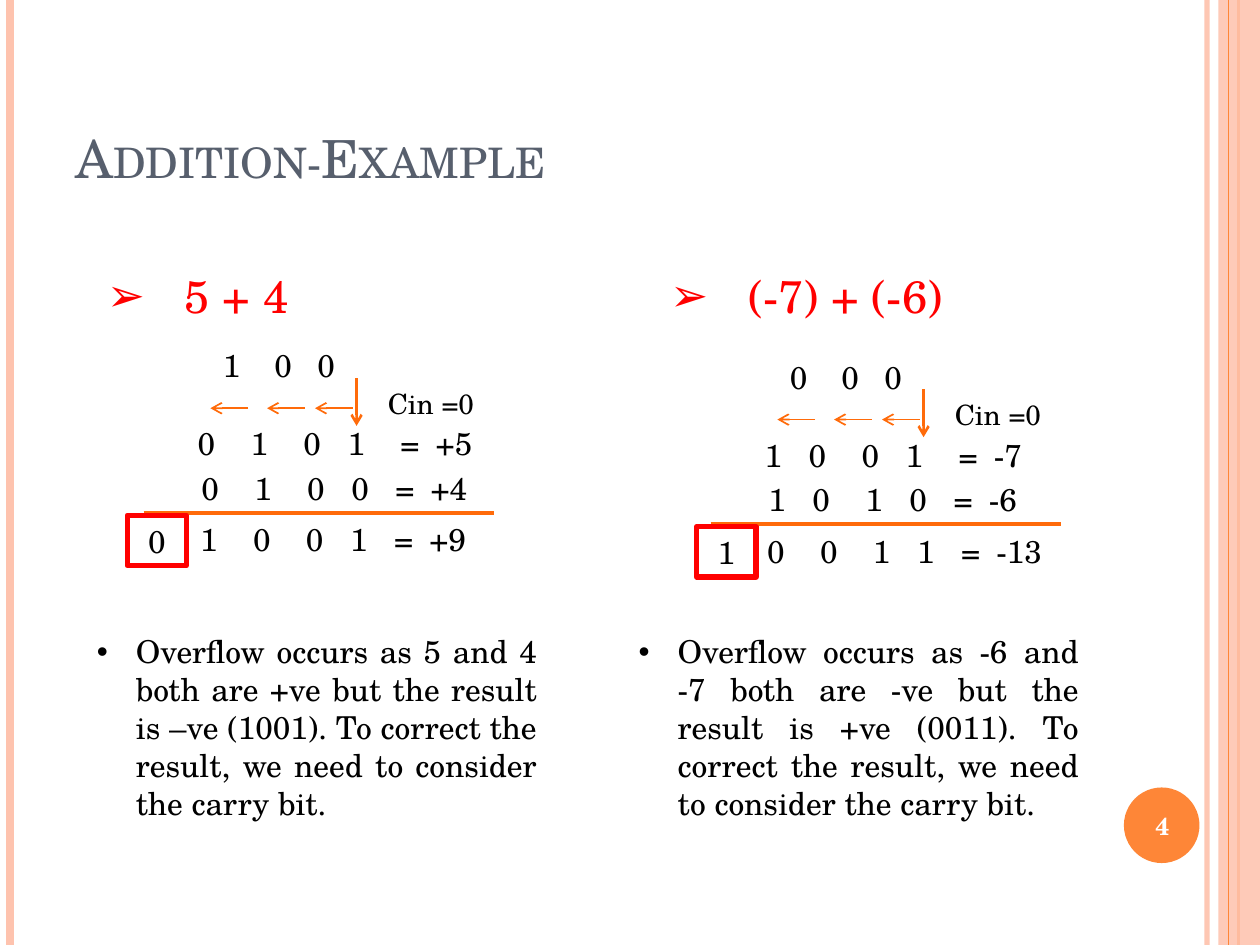
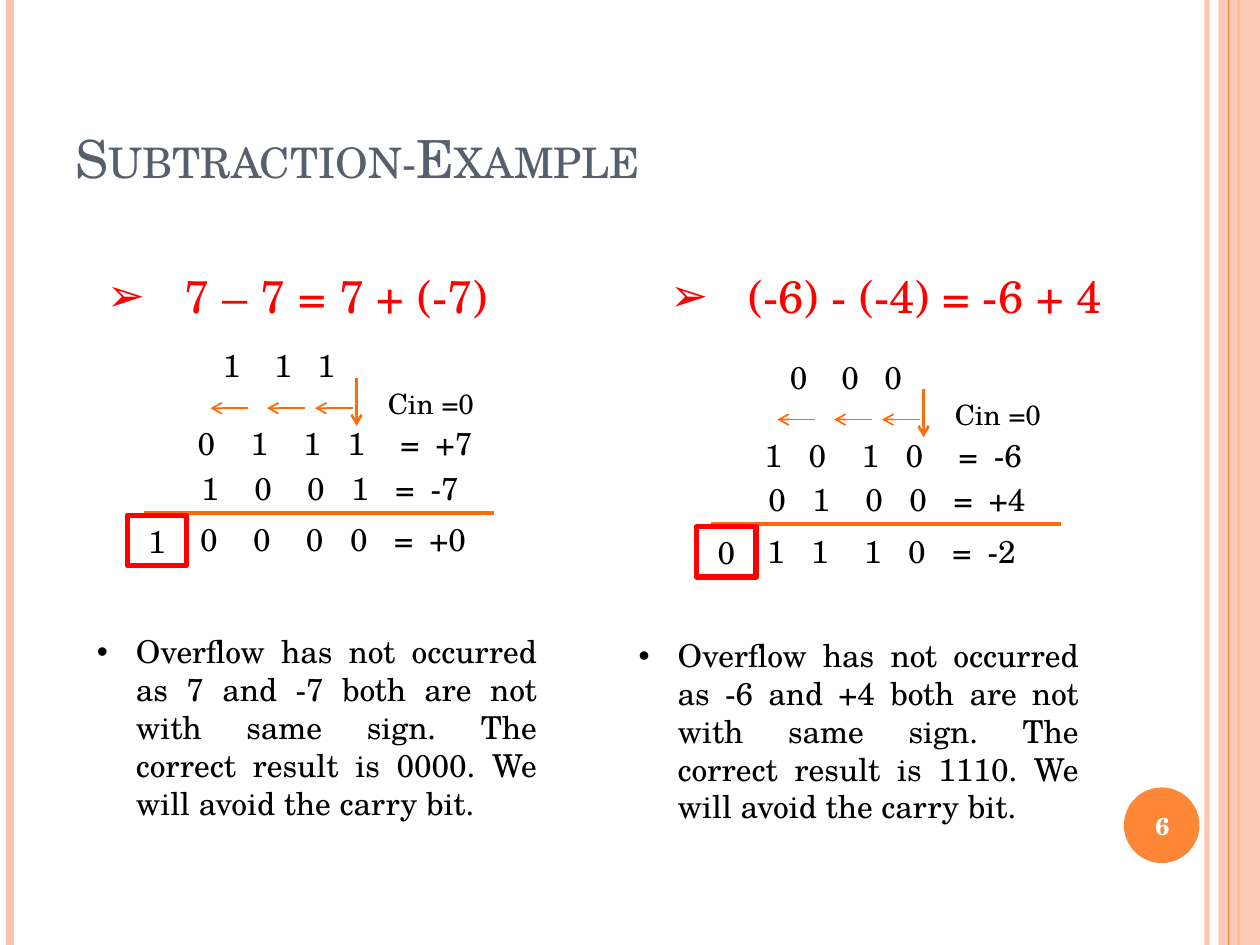
from dataclasses import dataclass
from itertools import accumulate

from lxml.etree import SubElement
from pptx import Presentation
from pptx.dml.color import RGBColor
from pptx.enum.shapes import MSO_CONNECTOR, MSO_SHAPE
from pptx.enum.text import MSO_ANCHOR, PP_ALIGN
from pptx.oxml.ns import qn
from pptx.util import Inches, Pt

# Each row of a sum: bits, decimal value, width in spaces of the first gap.
SLIDES = [
    {
        "title": "Addition-Example",
        "number": "4",
        "sums": [
            {
                "heading": "5 + 4",
                "carries": "100",
                "rows": [("0101", "+5", 4), ("0100", "+4", 4), ("1001", "+9", 4)],
                "carry_out": "0",
                "note": "Overflow occurs as 5 and 4 both are +ve but the result is "
                        "–ve (1001). To correct the result, we need to consider "
                        "the carry bit.",
                "note_top": 4.97,
            },
            {
                "heading": "(-7) + (-6)",
                "carries": "000",
                "rows": [("1001", "-7", 3), ("1010", "-6", 3), ("0011", "-13", 4)],
                "carry_out": "1",
                "note": "Overflow occurs as -6 and -7 both are -ve but the result is "
                        "+ve (0011). To correct the result, we need to consider "
                        "the carry bit.",
                "note_top": 4.97,
            },
        ],
    },
    {
        "title": "Subtraction-Example",
        "number": "6",
        "sums": [
            {
                "heading": "7 – 7 = 7 + (-7)",
                "carries": "111",
                "rows": [("0111", "+7", 4), ("1001", "-7", 4), ("0000", "+0", 4)],
                "carry_out": "1",
                "note": "Overflow has not occurred as 7 and -7 both are not with same "
                        "sign. The correct result is 0000. We will avoid the carry bit.",
                "note_top": 4.97,
            },
            {
                "heading": "(-6) - (-4) = -6 + 4",
                "carries": "000",
                "rows": [("1010", "-6", 3), ("0100", "+4", 3), ("1110", "-2", 3)],
                "carry_out": "0",
                "note": "Overflow has not occurred as -6 and +4 both are not with same "
                        "sign. The correct result is 1110. We will avoid the carry bit.",
                "note_top": 5.0,
            },
        ],
    },
]


@dataclass(frozen=True)
class Theme:
    font: str = "TeX Gyre Schola"
    ink: str = "000000"
    title: str = "575F6D"
    alert: str = "FF0000"
    accent: str = "FE8637"
    rule: str = "FF6B0A"
    pale: str = "FEC3AE"
    white: str = "FFFFFF"
    title_size: int = 30
    heading_size: int = 26
    body_size: int = 18
    label_size: int = 16
    number_size: int = 14


THEME = Theme()
WIDTH, HEIGHT = 10, 7.5

# Vertical rules of the frame: x, colour, width in points, opacity in percent.
RULES_UNDER_BAND = [
    (9.58, THEME.pale, 3, 93),
    (0.08, THEME.pale, 4.5, 100),
    (9.83, THEME.accent, 1.5, 100),
]
RULE_OVER_BAND = (9.75, THEME.accent, 0.75, 100)

# Left edge of each part in the left and the right column.
HEADING_LEFT = (0.75, 5.22)
NOTE_LEFT = (0.67, 4.97)
CARRY_OUT_LEFT = (1.01, 5.53)
SUM_SHIFT = ((0, 0), (4.5, 0.09))

ROW_PLACES = [(1.47, 3.32), (1.5, 3.67), (1.49, 4.08)]
EQUALS_GAPS = (4, 3, 3)
CARRY_LEFTS = (1.67, 2.08, 2.42)
CARRY_ARROW_STARTS = (1.97, 2.42, 2.8)
DIGIT_WIDTH, SPACE_WIDTH = 0.14, 0.07
LINE_HEIGHT = 0.4


def set_opacity(drawn, percent):
    for color in drawn.element.spPr.iter(qn("a:srgbClr")):
        SubElement(color, qn("a:alpha"), val=str(percent * 1000))


def add_line(slide, start, end, color, width, opacity=100, arrow=False):
    line = slide.shapes.add_connector(
        MSO_CONNECTOR.STRAIGHT, *(Inches(v) for v in (*start, *end)))
    line.line.color.rgb = RGBColor.from_string(color)
    line.line.width = Pt(width)
    properties = line.element.spPr
    if arrow:
        SubElement(properties.find(qn("a:ln")), qn("a:tailEnd"), type="arrow")
    SubElement(properties, qn("a:effectLst"))
    if opacity < 100:
        set_opacity(line, opacity)


def add_box(slide, preset, place, fill=None, line=None, width=1):
    box = slide.shapes.add_shape(preset, *(Inches(v) for v in place))
    box.shadow.inherit = False
    if fill:
        box.fill.solid()
        box.fill.fore_color.rgb = RGBColor.from_string(fill)
    else:
        box.fill.background()
    if line:
        box.line.color.rgb = RGBColor.from_string(line)
        box.line.width = Pt(width)
    else:
        box.line.fill.background()
    return box


def write(holder, text, size=THEME.body_size, color=THEME.ink, bold=False,
          small_caps=False, align=PP_ALIGN.LEFT, anchor=MSO_ANCHOR.TOP,
          bullet=None, indent=0, tabs=()):
    frame = holder.text_frame
    frame.word_wrap = True
    frame.vertical_anchor = anchor
    paragraph = frame.paragraphs[0]
    paragraph.alignment = align
    run = paragraph.add_run()
    run.text = text
    run.font.name = THEME.font
    run.font.size = Pt(size)
    run.font.bold = bold
    run.font.color.rgb = RGBColor.from_string(color)
    if small_caps:
        run.font._element.set("cap", "small")
    layout = paragraph._p.get_or_add_pPr()
    if bullet:
        layout.set("marL", str(Inches(indent)))
        layout.set("indent", str(-Inches(indent)))
        SubElement(layout, qn("a:buFont"), typeface="Arial")
        SubElement(layout, qn("a:buChar"), char=bullet)
    if tabs:
        stops = SubElement(layout, qn("a:tabLst"))
        for stop in tabs:
            SubElement(stops, qn("a:tab"), pos=str(Inches(stop)), algn="l")


def add_text(slide, place, text, **style):
    write(slide.shapes.add_textbox(*(Inches(v) for v in place)), text, **style)


def add_rule(slide, x, color, width, opacity):
    add_line(slide, (x, 0), (x, HEIGHT), color, width, opacity)


def add_frame(slide, title, number):
    """Draw the side bands, the title and the page number."""
    for rule in RULES_UNDER_BAND:
        add_rule(slide, *rule)
    band = add_box(slide, MSO_SHAPE.RECTANGLE, (9.67, 0, WIDTH - 9.67, HEIGHT),
                   fill=THEME.pale)
    set_opacity(band, 87)
    add_rule(slide, *RULE_OVER_BAND)
    add_box(slide, MSO_SHAPE.OVAL, (8.92, 6.25, 0.6, 0.6), fill=THEME.accent)
    add_text(slide, (0.5, 0.3, 8.17, 1.25), title, size=THEME.title_size,
             color=THEME.title, small_caps=True, anchor=MSO_ANCHOR.BOTTOM)
    add_text(slide, (8.89, 6.27, 0.67, 0.57), number, size=THEME.number_size,
             color=THEME.white, bold=True, align=PP_ALIGN.CENTER,
             anchor=MSO_ANCHOR.MIDDLE)


def add_sum(slide, column, heading, carries, rows, carry_out, note, note_top):
    dx, dy = SUM_SHIFT[column]

    def at(x, y):
        return x + dx, y + dy

    for (bits, value, first_gap), place, equals_gap in zip(
            rows, ROW_PLACES, EQUALS_GAPS):
        gaps = (first_gap, 4, 3, equals_gap, 2)
        tabs = accumulate(DIGIT_WIDTH + gap * SPACE_WIDTH for gap in gaps)
        add_text(slide, (*at(*place), 2.5, LINE_HEIGHT),
                 "\t".join([*bits, "=", value]),
                 tabs=[round(stop, 2) for stop in tabs])
    add_line(slide, at(1.14, 4.07), at(3.92, 4.07), THEME.rule, 2.25)

    add_line(slide, at(2.83, 3), at(2.83, 3.38), THEME.rule, 1.5, arrow=True)
    add_text(slide, (*at(2.98, 3.02), 1.04, 0.37), "Cin =0", size=THEME.label_size)
    for carry, left, start in zip(carries, CARRY_LEFTS, CARRY_ARROW_STARTS):
        add_line(slide, at(start, 3.24), at(start - 0.3, 3.24), THEME.rule, 1,
                 arrow=True)
        add_text(slide, (*at(left, 2.7), 0.25, LINE_HEIGHT), carry)

    carry_box = add_box(slide, MSO_SHAPE.RECTANGLE,
                        (CARRY_OUT_LEFT[column], 4.09 + dy, 0.47, LINE_HEIGHT),
                        line=THEME.alert, width=3)
    write(carry_box, carry_out, align=PP_ALIGN.CENTER)

    add_text(slide, (HEADING_LEFT[column], 2.08, 3.86, 0.54), heading,
             size=THEME.heading_size, color=THEME.alert, bullet="➢", indent=0.62)
    add_text(slide, (NOTE_LEFT[column], note_top, 3.69, 1.62), note,
             align=PP_ALIGN.JUSTIFY, bullet="•", indent=0.31)


def main():
    deck = Presentation()
    deck.slide_width, deck.slide_height = Inches(WIDTH), Inches(HEIGHT)
    blank = deck.slide_layouts[6]
    for content in SLIDES:
        slide = deck.slides.add_slide(blank)
        add_frame(slide, content["title"], content["number"])
        for column, example in enumerate(content["sums"]):
            add_sum(slide, column, **example)
    deck.save("out.pptx")


if __name__ == "__main__":
    main()
